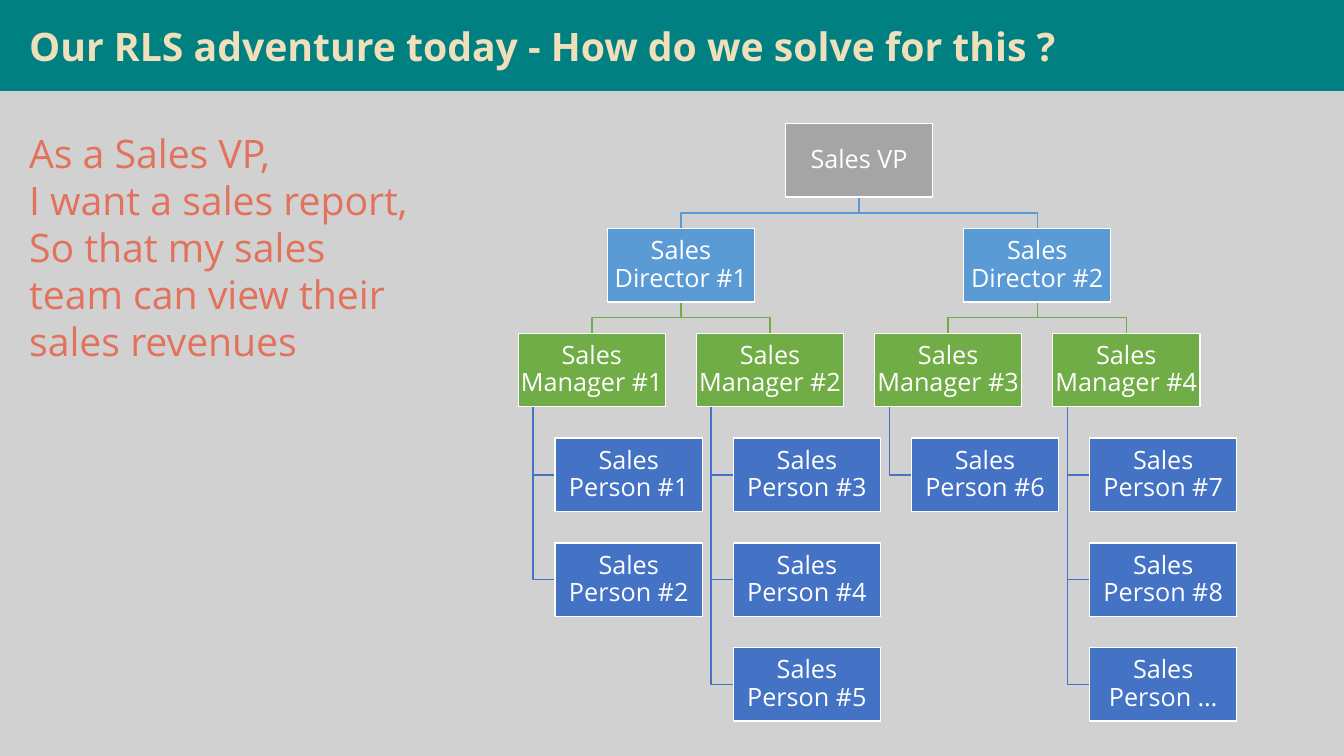
from lxml.etree import SubElement
from pptx import Presentation
from pptx.dml.color import RGBColor
from pptx.enum.shapes import MSO_SHAPE as Kind
from pptx.enum.text import MSO_ANCHOR as Anchor, MSO_AUTO_SIZE as Fit, PP_ALIGN as Align
from pptx.oxml.ns import qn
from pptx.util import Cm, Pt

TEAL = RGBColor(0x00, 0x80, 0x80)
CREAM = RGBColor(0xEF, 0xDF, 0xBB)
CORAL = RGBColor(0xE2, 0x72, 0x5B)
SILVER = RGBColor(0xD1, 0xD1, 0xD1)
WHITE = RGBColor(0xFF, 0xFF, 0xFF)
GREY = RGBColor(0xA5, 0xA5, 0xA5)
SKY = RGBColor(0x5B, 0x9B, 0xD5)
GREEN = RGBColor(0x70, 0xAD, 0x47)
BLUE = RGBColor(0x44, 0x72, 0xC4)

FONT = "Open Sans"
WIDE, HIGH = 3.71, 1.85
LEFT, TOP = 13.06, 3.12
STEP_X, STEP_Y = 4.49, 2.64
INDENT, STEM = 0.93, 0.37
TEAMS = [("#1", "#2"), ("#3", "#4", "#5"), ("#6",), ("#7", "#8", "…")]
STORY = [
    "As a Sales VP,",
    "I want a sales report,",
    "So that my sales team can view their sales revenues",
]


def apply(item, values):
    for name, value in values.items():
        setattr(item, name, value)


def style(par, size, color, bold=False):
    apply(par.font, {"name": FONT, "size": Pt(size), "bold": bold})
    par.font.color.rgb = color


def spot(col, row, shift=0):
    return LEFT + col * STEP_X + shift, TOP + row * STEP_Y


def add_rect(slide, x, y, wide, high, color):
    rect = slide.shapes.add_shape(Kind.RECTANGLE, Cm(x), Cm(y), Cm(wide), Cm(high))
    rect.shadow.inherit = False
    rect.fill.solid()
    rect.fill.fore_color.rgb = color
    rect.line.fill.background()
    return rect


def add_box(slide, place, text, color):
    box = add_rect(slide, *place, WIDE, HIGH, color)
    box.line.color.rgb = WHITE
    box.line.width = Pt(1)
    sides = ("left", "top", "right", "bottom")
    apply(box.text_frame, {f"margin_{side}": Cm(0.03) for side in sides})
    apply(box.text_frame, {"word_wrap": True, "vertical_anchor": Anchor.MIDDLE, "text": text})
    par = box.text_frame.paragraphs[0]
    apply(par, {"alignment": Align.CENTER, "line_spacing": 0.9})
    style(par, 18, WHITE)


def add_path(slide, points, color):
    start, *rest = [(Cm(x), Cm(y)) for x, y in points]
    pen = slide.shapes.build_freeform(*start)
    pen.add_line_segments(rest, close=False)
    path = pen.convert_to_shape()
    path.shadow.inherit = False
    path.fill.background()
    path.line.color.rgb = color
    path.line.width = Pt(1)


def add_fork(slide, boss, child, color):
    x, y = boss[0] + WIDE / 2, boss[1] + HIGH
    end = child[0] + WIDE / 2
    mid = (y + child[1]) / 2
    add_path(slide, [(x, y), (x, mid), (end, mid), (end, child[1])], color)


def add_branch(slide, boss, child, color):
    x, y = boss[0] + STEM, child[1] + HIGH / 2
    add_path(slide, [(x, boss[1] + HIGH), (x, y), (child[0], y)], color)


def fill_holder(holder, area, lines, color, bold=False):
    apply(holder, dict(zip(("left", "top", "width", "height"), map(Cm, area))))
    frame = holder.text_frame
    frame.text = "\n".join(lines)
    apply(frame, {"word_wrap": True, "vertical_anchor": Anchor.TOP, "auto_size": Fit.SHAPE_TO_FIT_TEXT})
    for par in frame.paragraphs:
        apply(par, {"alignment": Align.LEFT, "space_before": Pt(0), "line_spacing": 1.0})
        style(par, 28, color, bold)
        props = par._p.get_or_add_pPr()
        props.set("marL", "0")
        props.set("indent", "0")
        SubElement(props, qn("a:buNone"))


def add_chart(slide):
    head = spot(1.5, 0)
    boxes = [(head, "Sales VP", GREY)]
    for num in range(2):
        chief = spot(0.5 + 2 * num, 1)
        boxes.append((chief, f"Sales Director #{num + 1}", SKY))
        add_fork(slide, head, chief, SKY)
        for col in (2 * num, 2 * num + 1):
            lead = spot(col, 2)
            boxes.append((lead, f"Sales Manager #{col + 1}", GREEN))
            add_fork(slide, chief, lead, GREEN)
            for row, tag in enumerate(TEAMS[col], 3):
                seat = spot(col, row, INDENT)
                boxes.append((seat, f"Sales Person {tag}", BLUE))
                add_branch(slide, lead, seat, BLUE)
    for box in boxes:
        add_box(slide, *box)


def main():
    """Build the sales hierarchy slide and save it."""
    deck = Presentation()
    apply(deck, {"slide_width": Cm(33.87), "slide_height": Cm(19.05)})
    slide = deck.slides.add_slide(deck.slide_layouts[1])
    slide.background.fill.solid()
    slide.background.fill.fore_color.rgb = SILVER
    banner = add_rect(slide, 0, 0, 33.87, 2.29, TEAL)
    slide.shapes.element.insert(2, banner.element)
    title = ["Our RLS adventure today - How do we solve for this ?"]
    fill_holder(slide.shapes.title, (0.48, 0.43, 28.6, 1.45), title, CREAM, True)
    add_chart(slide)
    fill_holder(slide.placeholders[1], (0.48, 3.12, 10.11, 6.25), STORY, CORAL)
    deck.save("out.pptx")


if __name__ == "__main__":
    main()
